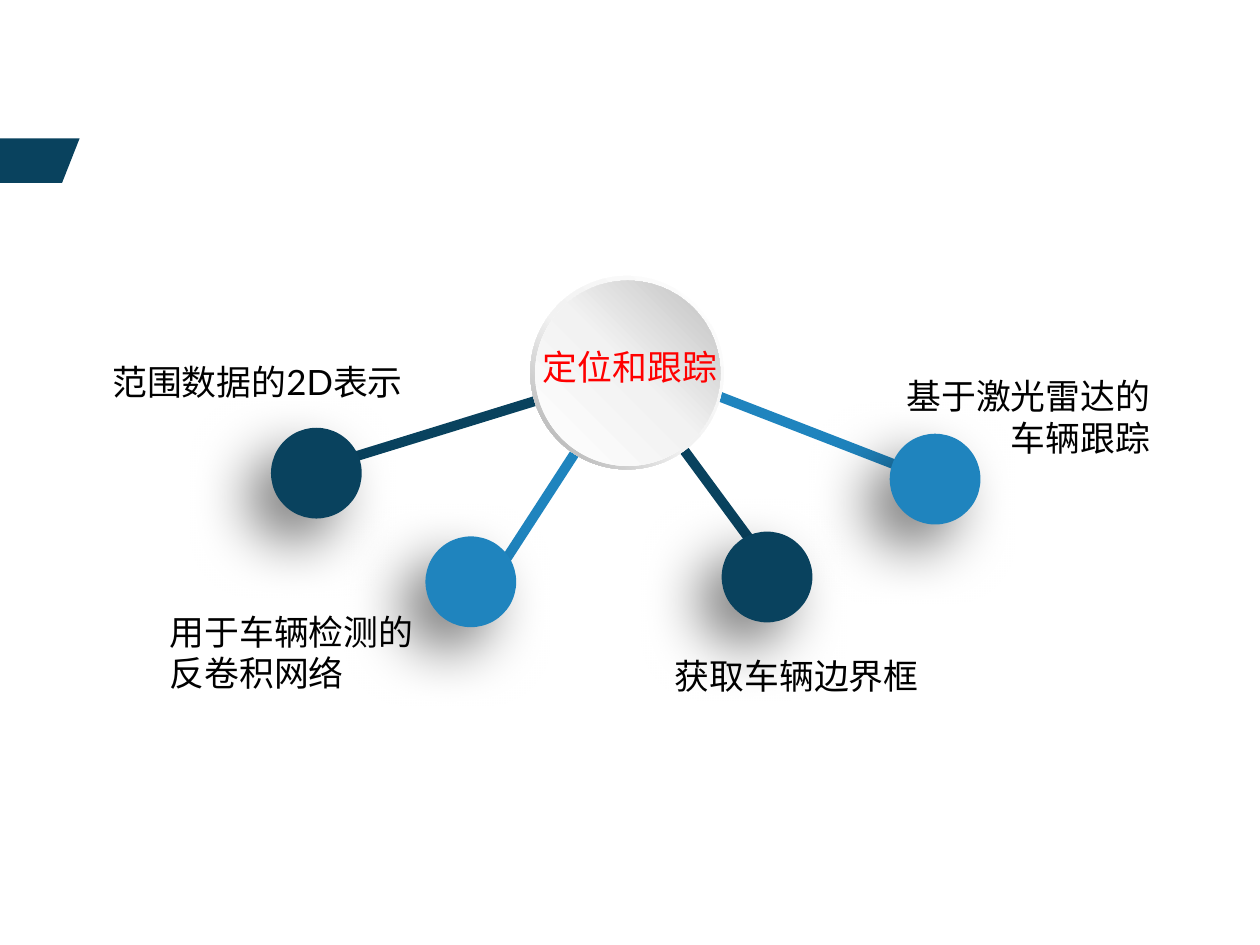
from lxml import etree
from pptx import Presentation
from pptx.dml.color import RGBColor
from pptx.enum.shapes import MSO_CONNECTOR, MSO_SHAPE
from pptx.enum.text import MSO_ANCHOR, MSO_AUTO_SIZE, PP_ALIGN
from pptx.oxml.ns import qn
from pptx.util import Pt

LINE = MSO_CONNECTOR.STRAIGHT
OVAL, DONUT = MSO_SHAPE.OVAL, MSO_SHAPE.DONUT
MIDDLE, TOP = MSO_ANCHOR.MIDDLE, MSO_ANCHOR.TOP
LEFT, CENTER, RIGHT = PP_ALIGN.LEFT, PP_ALIGN.CENTER, PP_ALIGN.RIGHT
FIT = MSO_AUTO_SIZE.SHAPE_TO_FIT_TEXT

NAVY = RGBColor(0x09, 0x42, 0x5E)
BLUE = RGBColor(0x1F, 0x84, 0xBE)
RED = RGBColor(0xFF, 0, 0)
BLACK = RGBColor(0, 0, 0)

WIDTH, HEIGHT = 759.6, 569.5
DOT = 54.7
HUB = (378, 224.6)
# colour, line start, line end, dot left and top
SPOKES = [
    (NAVY, (198, 280.1), HUB, (163.4, 257.8)),
    (BLUE, (298.1, 347.8), HUB, (256.5, 323.3)),
    (NAVY, (466.6, 344.9), HUB, (435.1, 320.4)),
    (BLUE, (556.6, 286.6), (396.7, 224.6), (536.4, 261.4)),
]
# text, left, top, width, height, alignment
LABELS = [
    ("基于激光雷达的车辆跟踪", 536.4, 240.5, 157, 20.9, RIGHT),
    ("用于车辆检测的反卷积网络", 102.2, 375, 157, 36, LEFT),
    ("获取车辆边界框", 406.8, 396.7, 157, 20.9, LEFT),
    ("范围数据的2D表示", 67.7, 202.3, 190.1, 55.4, LEFT),
]
TITLE = "定位和跟踪"
# preset, left, top, size, gradient stops, angle
DISCS = [
    (DONUT, 319.7, 166.3, 116.6,
     [(0, "FFFFFF"), (55, "F2F2F2"), (100, "A6A6A6")], 135),
    (OVAL, 322.6, 169.2, 111.6,
     [(0, "FFFFFF"), (51, "F2F2F2"), (100, "BFBFBF")], 315),
]
FLAG = [(0, 83.4), (48, 83.4), (37.4, 110.3), (0, 110.3)]


def node(parent, tag, **attrs):
    """Append a DrawingML element with the given attributes."""
    child = etree.SubElement(parent, qn("a:" + tag))
    for key, val in attrs.items():
        child.set(key, str(val))
    return child


def paint(shape, color):
    shape.shadow.inherit = False
    shape.fill.solid()
    shape.fill.fore_color.rgb = color
    shape.line.fill.background()


def shade(shape, stops, angle):
    """Give the shape a linear gradient, with the angle clockwise."""
    shape.shadow.inherit = False
    shape.line.fill.background()
    shape.fill.gradient()
    grad = shape._element.spPr.find(qn("a:gradFill"))
    for child in list(grad):
        grad.remove(child)
    rows = node(grad, "gsLst")
    for pos, color in stops:
        node(node(rows, "gs", pos=pos * 1000), "srgbClr", val=color)
    node(grad, "lin", ang=angle * 60000, scaled=0)


def cast(shape):
    """Add a soft shadow towards the lower left."""
    effects = shape._element.spPr.find(qn("a:effectLst"))
    outer = node(effects, "outerShdw", blurRad=Pt(35), dist=Pt(20),
                 dir=135 * 60000, algn="tr", rotWithShape=0)
    node(node(outer, "srgbClr", val="000000"), "alpha", val=50000)


def write(shapes, text, box, align, font, color):
    label = shapes.add_textbox(*map(Pt, box))
    frame = label.text_frame
    frame.text = text
    para = frame.paragraphs[0]
    para.alignment = align
    face = para.runs[0].font
    face.name, face.size, face.color.rgb = font, Pt(21), color
    return frame


def main():
    deck = Presentation()
    deck.slide_width, deck.slide_height = Pt(WIDTH), Pt(HEIGHT)
    shapes = deck.slides.add_slide(deck.slide_layouts[6]).shapes

    for color, start, end, _ in SPOKES:
        spoke = shapes.add_connector(LINE, *map(Pt, start + end))
        spoke.line.color.rgb = color
        spoke.line.width = Pt(6)
        node(spoke._element.spPr, "effectLst")

    for color, _, _, spot in SPOKES:
        dot = shapes.add_shape(OVAL, *map(Pt, spot + (DOT, DOT)))
        paint(dot, color)
        cast(dot)

    hub = shapes.add_group_shape().shapes
    for kind, left, top, size, stops, angle in DISCS:
        disc = hub.add_shape(kind, Pt(left), Pt(top), Pt(size), Pt(size))
        if kind == DONUT:
            disc.adjustments[0] = 0.049
        shade(disc, stops, angle)
    frame = write(hub, TITLE, (319.7, 204.5, 120.2, 32.4),
                  CENTER, "Arial", RED)
    frame.word_wrap = False
    frame.auto_size = FIT
    frame.vertical_anchor = TOP

    for text, *box, align in LABELS:
        frame = write(shapes, text, box, align, "Lato", BLACK)
        frame.word_wrap = True
        frame.vertical_anchor = MIDDLE
        frame.margin_left = frame.margin_right = 0
        frame.margin_top = frame.margin_bottom = Pt(6.5)

    points = [(Pt(x), Pt(y)) for x, y in FLAG]
    pen = shapes.build_freeform(*points[0])
    pen.add_line_segments(points[1:], close=True)
    paint(pen.convert_to_shape(), NAVY)

    deck.save("out.pptx")


if __name__ == "__main__":
    main()
